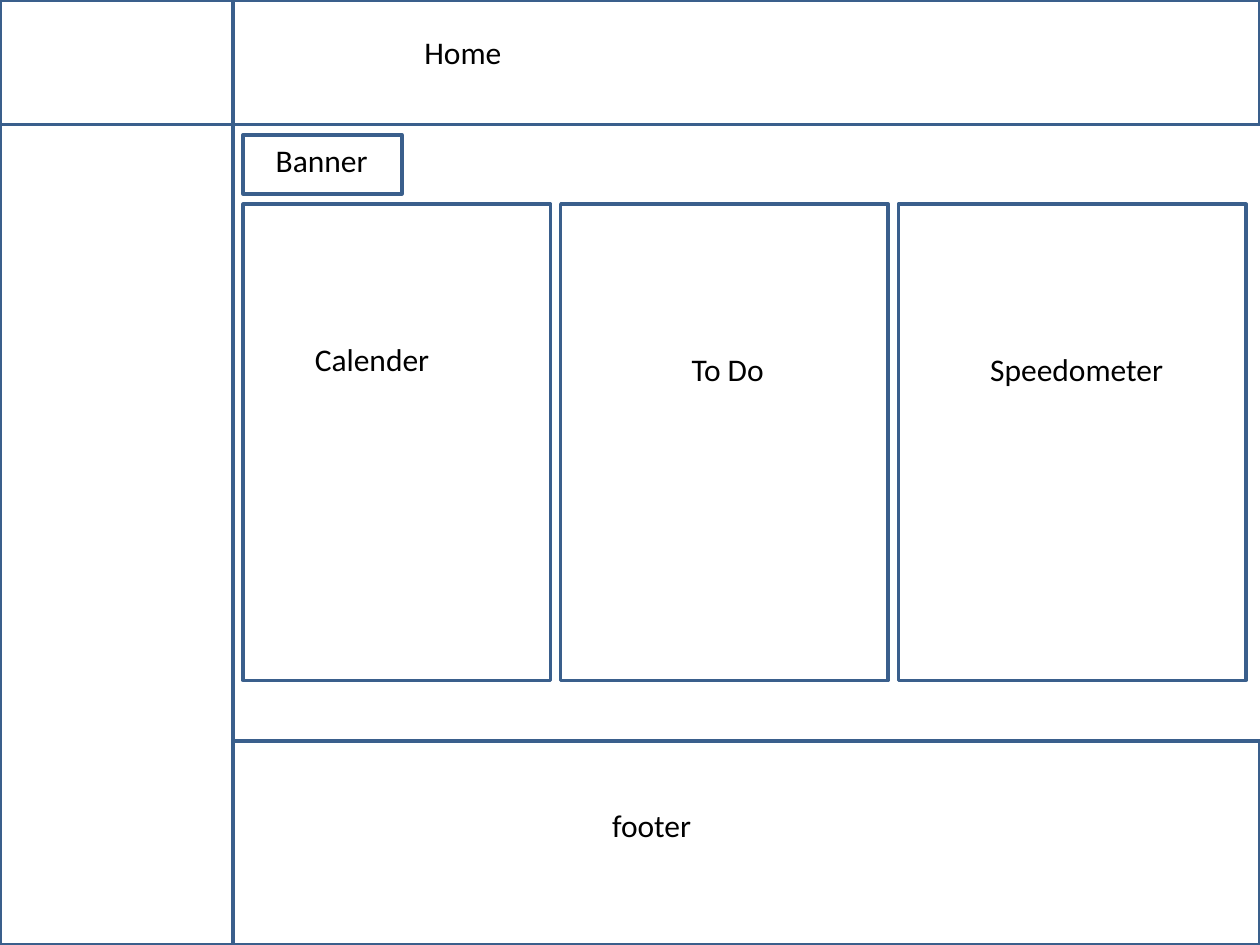
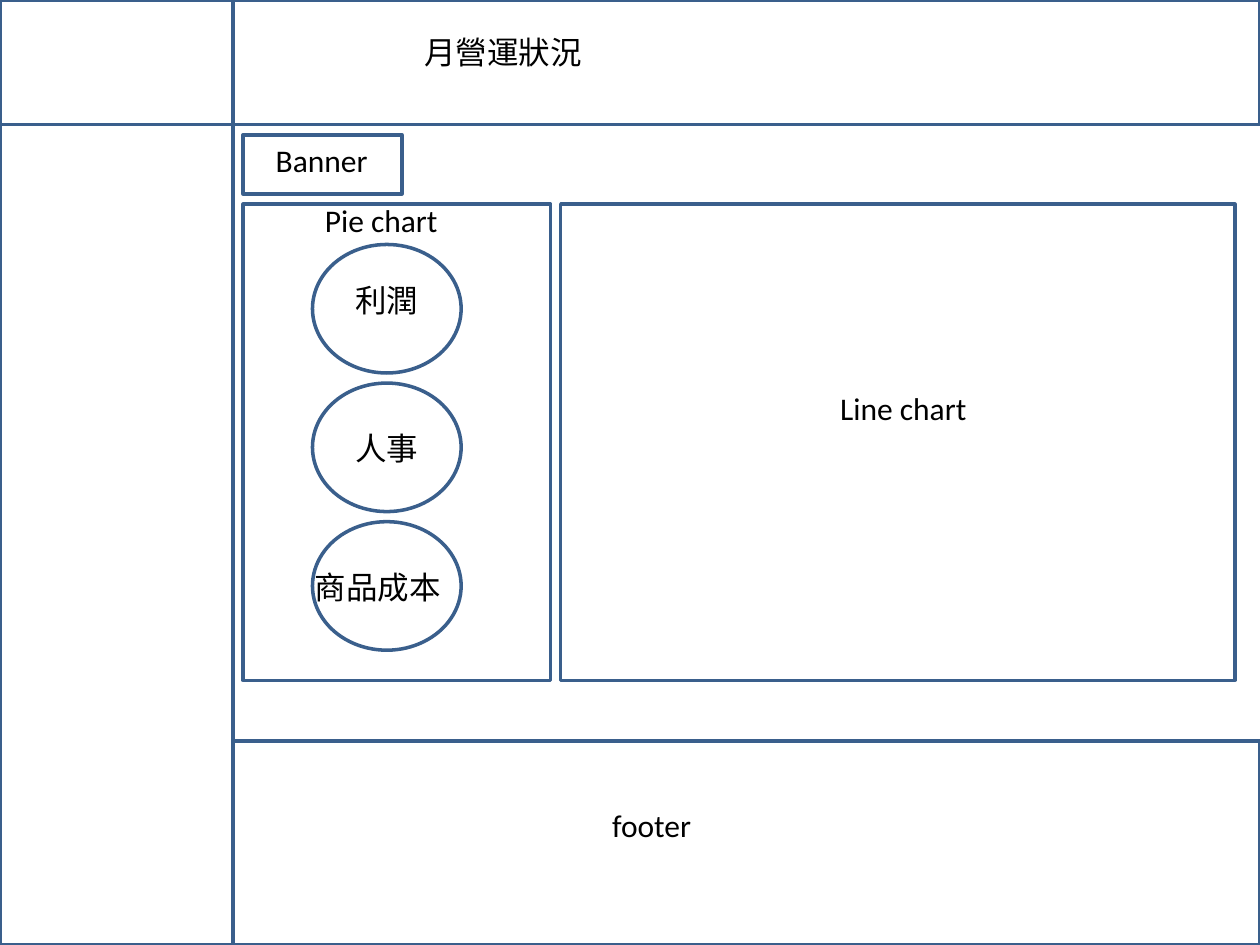
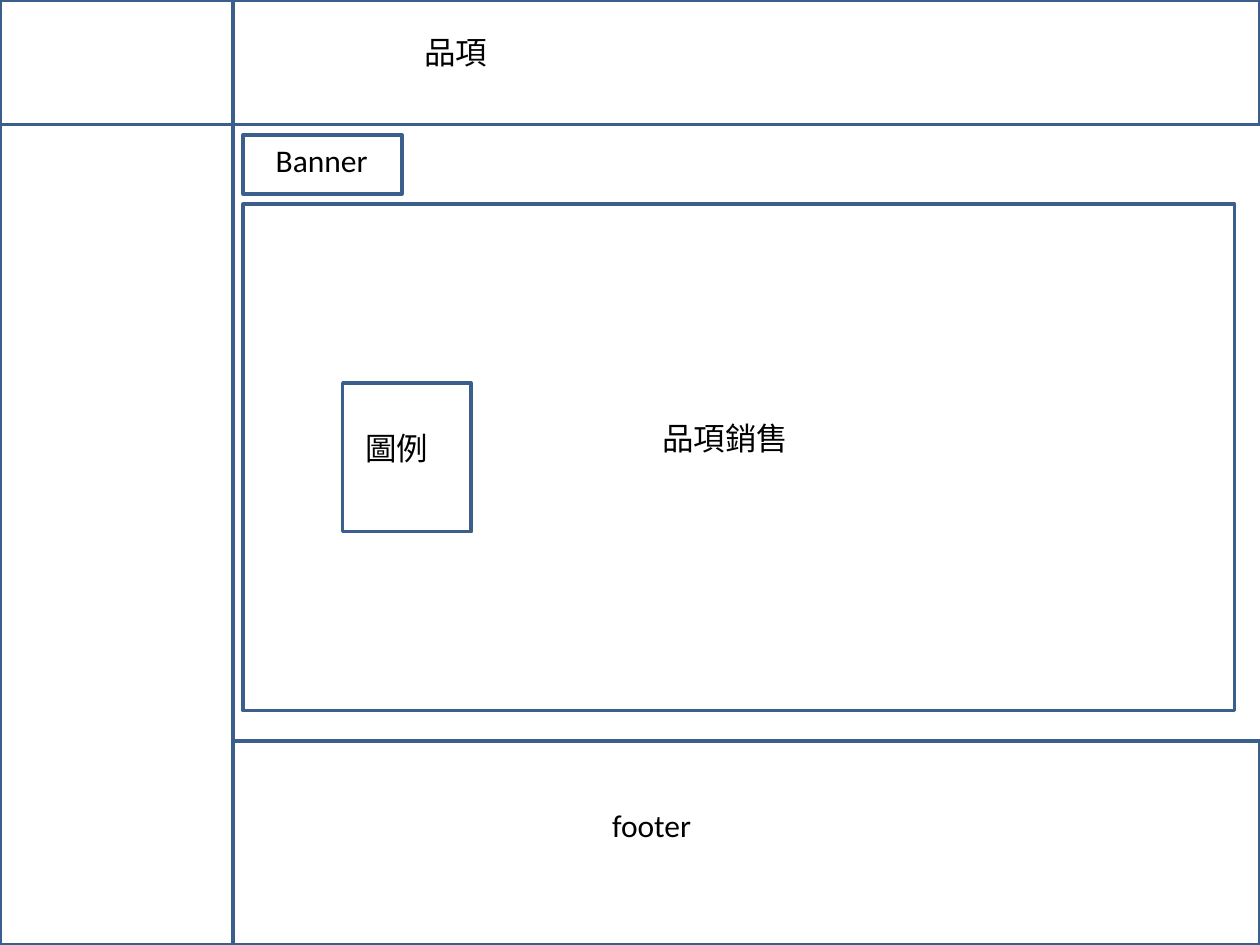
from dataclasses import dataclass

from pptx import Presentation
from pptx.dml.color import RGBColor
from pptx.enum.shapes import MSO_SHAPE
from pptx.enum.text import MSO_AUTO_SIZE
from pptx.slide import Slide
from pptx.util import Inches, Pt

FONT = "Calibri"
INK = "000000"
EDGE = "3A5F8C"

WIDE, HIGH = 10, 7.5
GAP = 0.08
SIDE = 1.85            # width of the side bar
HEAD = 0.99            # height of the header
FOOT = 5.88            # top of the footer
LEFT = SIDE + GAP      # left edge of the content
BANNER_TOP, BANNER_HIGH = HEAD + GAP, 0.47
TOP = BANNER_TOP + BANNER_HIGH + GAP
PANEL_HIGH = 3.78
PIE_LEFT, PIE_TOP, PIE_WIDE, PIE_HIGH = 2.48, 1.94, 1.18, 1.02


@dataclass(frozen=True)
class Box:
    left: float
    top: float
    width: float
    height: float
    kind: MSO_SHAPE = MSO_SHAPE.RECTANGLE


@dataclass(frozen=True)
class Label:
    text: str
    left: float
    top: float
    width: float


@dataclass(frozen=True)
class Page:
    title: str
    boxes: list[Box]
    labels: list[Label]


def color(code: str) -> RGBColor:
    return RGBColor.from_string(code)


def panels(*widths: float, height: float = PANEL_HIGH) -> list[Box]:
    """Place content panels side by side, one gap apart."""
    boxes = []
    left = LEFT
    for width in widths:
        boxes.append(Box(left, TOP, width, height))
        left += width + GAP
    return boxes


def pies(count: int) -> list[Box]:
    """Stack equal ellipses, one gap apart."""
    return [
        Box(PIE_LEFT, PIE_TOP + i * (PIE_HIGH + GAP), PIE_WIDE, PIE_HIGH, MSO_SHAPE.OVAL)
        for i in range(count)
    ]


FRAME = [
    Box(0, 0, SIDE, HIGH),
    Box(0, 0, WIDE, HEAD),
    Box(LEFT, BANNER_TOP, 1.26, BANNER_HIGH),
    Box(SIDE, FOOT, WIDE - SIDE, HIGH - FOOT),
]
NAMES = [
    Label("Banner", 2.09, BANNER_TOP, 0.94),
    Label("footer", 4.76, 6.35, 1.97),
]

PAGES = [
    Page(
        "Home",
        panels(2.44, 2.6, 2.76),
        [
            Label("Calender", 2.4, 2.65, 1.26),
            Label("To Do", 5.39, 2.73, 1.5),
            Label("Speedometer", 7.76, 2.73, 1.65),
        ],
    ),
    Page(
        "月營運狀況",
        panels(2.44, 5.35) + pies(3),
        [
            Label("Pie chart", 2.48, 1.55, 1.26),
            Label("Line chart", 6.57, 3.04, 1.5),
            Label("利潤", 2.72, 2.18, 0.87),
            Label("人事", 2.72, 3.36, 0.79),
            Label("商品成本", 2.4, 4.46, 1.26),
        ],
    ),
    Page(
        "品項",
        panels(7.87, height=4.02) + [Box(2.72, 3.04, 1.02, 1.18)],
        [
            Label("品項銷售", 5.16, 3.28, 2.13),
            Label("圖例", 2.8, 3.36, 0.87),
        ],
    ),
]


def draw_box(slide: Slide, box: Box) -> None:
    shape = slide.shapes.add_shape(
        box.kind, Inches(box.left), Inches(box.top), Inches(box.width), Inches(box.height)
    )
    shape.shadow.inherit = False
    shape.fill.background()
    shape.line.color.rgb = color(EDGE)
    shape.line.width = Pt(2)


def draw_label(slide: Slide, label: Label) -> None:
    shape = slide.shapes.add_textbox(
        Inches(label.left), Inches(label.top), Inches(label.width), Inches(0.4)
    )
    frame = shape.text_frame
    frame.text = label.text
    frame.word_wrap = True
    frame.auto_size = MSO_AUTO_SIZE.SHAPE_TO_FIT_TEXT
    font = frame.paragraphs[0].runs[0].font
    font.name = FONT
    font.size = Pt(18)
    font.color.rgb = color(INK)


def main() -> None:
    deck = Presentation()
    deck.slide_width, deck.slide_height = Inches(WIDE), Inches(HIGH)
    for page in PAGES:
        slide = deck.slides.add_slide(deck.slide_layouts[6])
        for box in FRAME + page.boxes:
            draw_box(slide, box)
        title = Label(page.title, 3.27, 0.21, 3.07)
        for label in [title, *NAMES, *page.labels]:
            draw_label(slide, label)
    deck.save("out.pptx")


if __name__ == "__main__":
    main()
